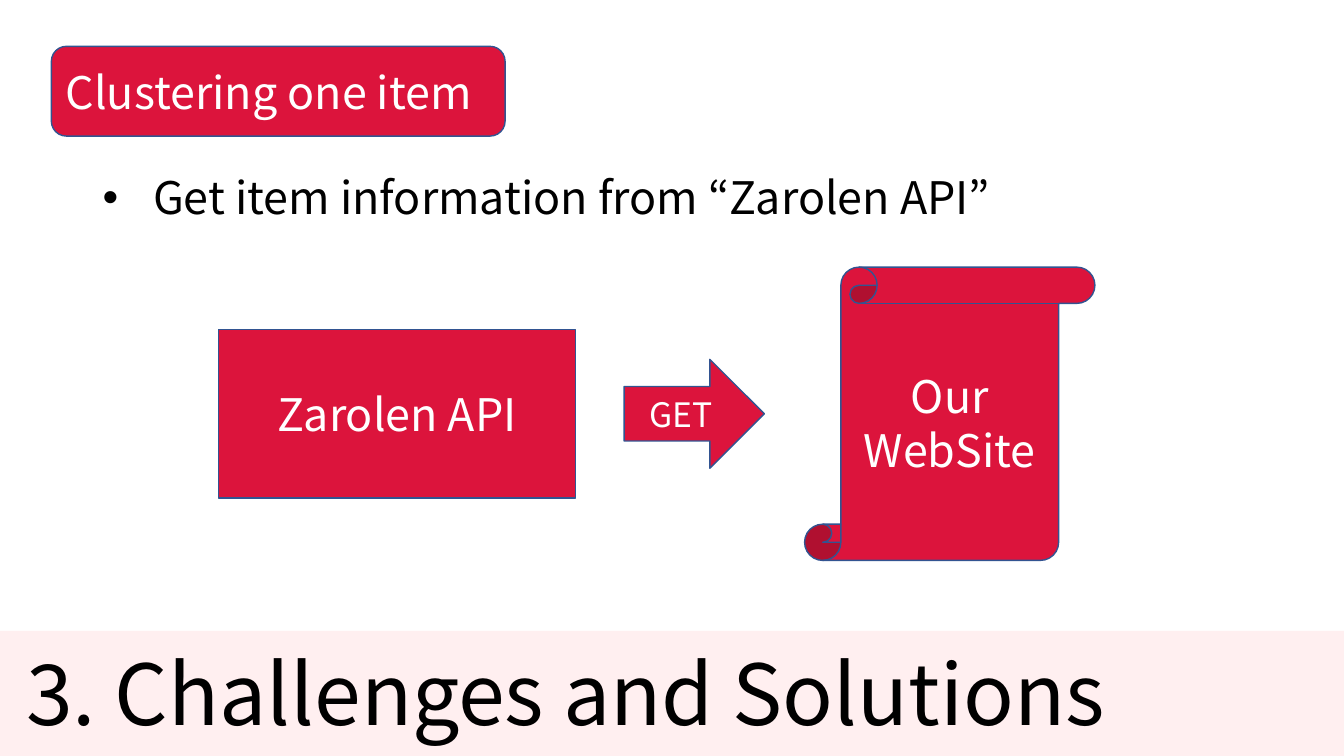
from dataclasses import dataclass

import lxml.etree
import pptx
import pptx.dml.color
import pptx.enum.shapes
import pptx.enum.text
import pptx.oxml.ns
import pptx.util

Inches = pptx.util.Inches
Shape = pptx.enum.shapes.MSO_SHAPE
Align = pptx.enum.text.PP_ALIGN
Anchor = pptx.enum.text.MSO_ANCHOR
qn = pptx.oxml.ns.qn


@dataclass(frozen=True)
class Theme:
    font: str = "Noto Sans CJK JP"
    crimson: str = "DC143C"
    outline: str = "325491"
    band: str = "FF9199"
    band_opacity: int = 14
    ink: str = "000000"
    paper: str = "FFFFFF"
    title_size: int = 60
    body_size: int = 32
    arrow_size: int = 24


THEME = Theme()


def rgb(value):
    return pptx.dml.color.RGBColor.from_string(value)


def write(frame, text, size, color, align=Align.LEFT, anchor=Anchor.TOP):
    frame.word_wrap = True
    frame.vertical_anchor = anchor
    paragraph = frame.paragraphs[0]
    paragraph.text = text
    paragraph.alignment = align
    paragraph.font.name = THEME.font
    paragraph.font.size = pptx.util.Pt(size)
    paragraph.font.color.rgb = rgb(color)
    return paragraph


def add_block(slide, kind, box, text, size=THEME.body_size, align=Align.CENTER):
    """Crimson shape with a thin outline and a white label."""
    block = slide.shapes.add_shape(kind, *map(Inches, box))
    block.shadow.inherit = False
    block.fill.solid()
    block.fill.fore_color.rgb = rgb(THEME.crimson)
    block.line.color.rgb = rgb(THEME.outline)
    block.line.width = pptx.util.Pt(1)
    write(block.text_frame, text, size, THEME.paper, align, Anchor.MIDDLE)


def add_title_band(slide, box):
    left, top, width, height = box
    band = slide.shapes.add_shape(Shape.RECTANGLE, *map(Inches, box))
    band.shadow.inherit = False
    band.line.fill.background()
    band.fill.solid()
    band.fill.fore_color.rgb = rgb(THEME.band)
    # Translucent tint
    tint = band.fill._xPr.find(qn("a:solidFill"))[0]
    lxml.etree.SubElement(tint, qn("a:alpha"), val=str(THEME.band_opacity * 1000))

    title = slide.shapes.add_textbox(
        Inches(left + 0.16), Inches(top + 0.07), Inches(width - 1.07), Inches(height - 0.15))
    heading = write(title.text_frame, "3. Challenges and Solutions",
                    THEME.title_size, THEME.ink, anchor=Anchor.BOTTOM)
    heading.line_spacing = 0.9


def add_bullet(slide, box, text):
    body = slide.shapes.add_textbox(*map(Inches, box))
    point = write(body.text_frame, text, THEME.body_size, THEME.ink)
    point.line_spacing = 0.9
    point.space_before = pptx.util.Pt(10)
    # Hanging bullet
    properties = point._p.get_or_add_pPr()
    properties.set("marL", str(Inches(0.5)))
    properties.set("indent", str(-Inches(0.5)))
    bullet_font = lxml.etree.SubElement(properties, qn("a:buFont"), typeface="Arial")
    bullet = lxml.etree.SubElement(properties, qn("a:buChar"), char="•")
    defaults = properties.find(qn("a:defRPr"))
    defaults.addprevious(bullet_font)
    defaults.addprevious(bullet)


def add_request_flow(slide, box):
    """API, arrow and website, centred on one horizontal axis."""
    left, top, width, height = box
    steps = [
        (Shape.RECTANGLE, 0, 3.54, 1.67, "Zarolen API", THEME.body_size),
        (Shape.RIGHT_ARROW, 4.02, 1.39, 1.08, "GET", THEME.arrow_size),
        (Shape.VERTICAL_SCROLL, width - 2.88, 2.88, height, "Our WebSite", THEME.body_size),
    ]
    for kind, offset, step_width, step_height, label, size in steps:
        step_top = top + (height - step_height) / 2
        add_block(slide, kind, (left + offset, step_top, step_width, step_height), label, size)


def main():
    deck = pptx.Presentation()
    deck.slide_width = Inches(13.33)
    deck.slide_height = Inches(7.5)
    slide = deck.slides.add_slide(deck.slide_layouts[6])

    add_title_band(slide, (0, 6.26, 13.33, 1.25))
    add_bullet(slide, (0.92, 1.69, 11.5, 4.48), "Get item information from “Zarolen API”")
    add_request_flow(slide, (2.17, 2.65, 8.69, 2.91))
    add_block(slide, Shape.ROUNDED_RECTANGLE, (0.51, 0.46, 4.5, 0.89),
              "Clustering one item", align=Align.LEFT)

    deck.save("out.pptx")


if __name__ == "__main__":
    main()
